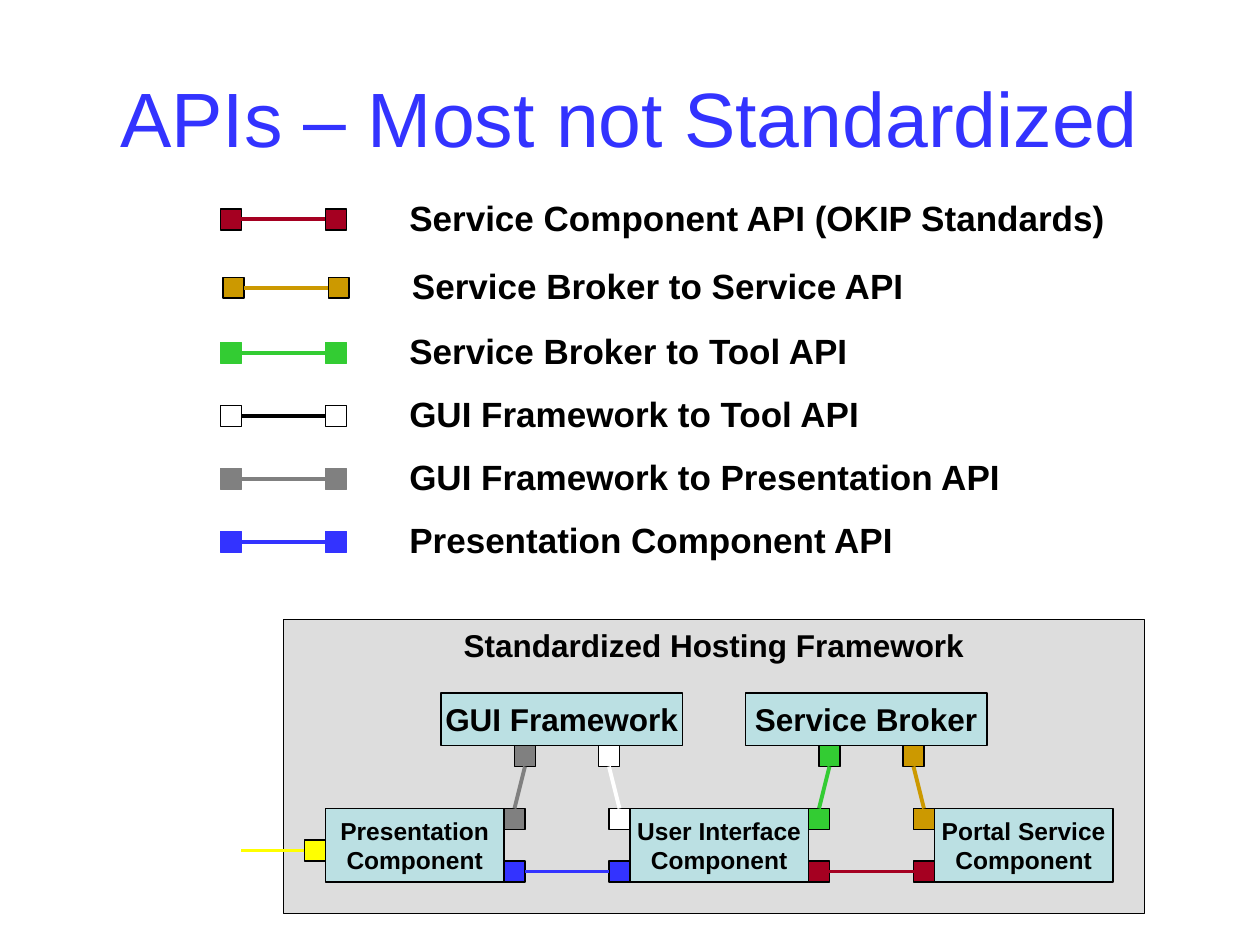
import pptx
import pptx.util
import pptx.dml.color
import pptx.enum.shapes
import pptx.enum.text
import pptx.oxml.ns
from lxml import etree

COLORS = {
    "red": "A50021", "gold": "CC9900", "green": "33CC33", "white": "FFFFFF",
    "gray": "808080", "blue": "3333FF", "yellow": "FFFF00", "black": "000000",
    "frame": "DDDDDD", "box": "BBE0E3",
}
COLS = 120
PORT = 2
BOTTOM, LEFT, RIGHT, TOP = 2, 1, 3, 0
ALIGN = pptx.enum.text.PP_ALIGN
ANCHOR = pptx.enum.text.MSO_ANCHOR

LEGEND = [
    (21, 19.9, "red", "black", 68.8, "Service Component API (OKIP Standards)"),
    (21.25, 26.4, "gold", "black", 49.3, "Service Broker to Service API"),
    (21, 32.6, "green", "green", 44.5, "Service Broker to Tool API"),
    (21, 38.6, "white", "black", 45.6, "GUI Framework to Tool API"),
    (21, 44.6, "gray", "gray", 58.8, "GUI Framework to Presentation API"),
    (21, 50.6, "blue", "blue", 48.6, "Presentation Component API"),
]
BOXES = [
    (42, 66, 23, 5, "GUI Framework", 18),
    (71, 66, 23, 5, "Service Broker", 18),
    (31, 77, 17, 7, "Presentation\nComponent", 14),
    (60, 77, 17, 7, "User Interface\nComponent", 14),
    (89, 77, 17, 7, "Portal Service\nComponent", 14),
]
LINKS = [
    ("gray", (49, 71), (48, 77), BOTTOM, TOP),
    ("white", (57, 71), (58, 77), BOTTOM, TOP),
    ("green", (78, 71), (77, 77), BOTTOM, TOP),
    ("gold", (86, 71), (87, 77), BOTTOM, TOP),
    ("blue", (48, 82), (58, 82), RIGHT, LEFT),
    ("red", (77, 82), (87, 82), RIGHT, LEFT),
]


def cell(count):
    return pptx.util.Inches(count * 10 / COLS)


def color(name):
    return pptx.dml.color.RGBColor.from_string(COLORS[name])


def write(shape, text, size, ink="black", bold=True, align=ALIGN.CENTER,
          anchor=ANCHOR.MIDDLE, wrap=False):
    frame = shape.text_frame
    frame.text = text
    frame.word_wrap = wrap
    frame.vertical_anchor = anchor
    for para in frame.paragraphs:
        para.alignment = align
        for run in para.runs:
            run.font.name = "Arial"
            run.font.size = pptx.util.Pt(size)
            run.font.bold = bold
            run.font.color.rgb = color(ink)


def add_rect(slide, x, y, w, h, fill, edge="black"):
    kind = pptx.enum.shapes.MSO_SHAPE.RECTANGLE
    rect = slide.shapes.add_shape(kind, cell(x), cell(y), cell(w), cell(h))
    rect.shadow.inherit = False
    rect.fill.solid()
    rect.fill.fore_color.rgb = color(fill)
    rect.line.color.rgb = color(edge)
    rect.line.width = pptx.util.Pt(0.75)
    return rect


def add_port(slide, x, y, fill, edge="black"):
    return add_rect(slide, x, y, PORT, PORT, fill, edge)


def add_line(slide, start, end, ink):
    kind = pptx.enum.shapes.MSO_CONNECTOR.STRAIGHT
    line = slide.shapes.add_connector(kind, *map(cell, start + end))
    line.line.color.rgb = color(ink)
    line.line.width = pptx.util.Pt(2.25)
    props = line.element.spPr
    etree.SubElement(props, pptx.oxml.ns.qn("a:effectLst"))
    return line


def add_link(slide, ink, first, last, out, into, edge="black", line_ink=None):
    head = add_port(slide, *first, ink, edge)
    tail = add_port(slide, *last, ink, edge)
    line = add_line(slide, first, last, line_ink or ink)
    line.begin_connect(head, out)
    line.end_connect(tail, into)


def add_text(slide, x, y, w, h, text, size, **style):
    box = slide.shapes.add_textbox(cell(x), cell(y), cell(w), cell(h))
    write(box, text, size, **style)


def add_key(slide, x, y, ink, edge, width, label):
    add_link(slide, ink, (x, y), (x + 10, y), RIGHT, LEFT, edge, edge if ink == "white" else ink)
    add_text(slide, x + 16.8, y - 1.8, width, 5.3, label, 20,
             align=ALIGN.LEFT, anchor=ANCHOR.TOP)


def main():
    deck = pptx.Presentation()
    deck.slide_width = pptx.util.Inches(10)
    deck.slide_height = pptx.util.Inches(7.5)
    slide = deck.slides.add_slide(deck.slide_layouts[6])

    add_text(slide, 6, 3.6, 108, 15, "APIs – Most not Standardized", 44,
             ink="blue", bold=False, wrap=True)
    for key in LEGEND:
        if key[2] == "gold":
            add_key(slide, *key)
        else:
            add_key(slide, *key)

    host = add_rect(slide, 27, 59, 82, 28, "frame")
    write(host, "Standardized Hosting Framework", 18, anchor=ANCHOR.TOP)
    for x, y, w, h, text, size in BOXES:
        write(add_rect(slide, x, y, w, h, "box"), text, size)
    for link in LINKS:
        add_link(slide, *link)
    entry = add_port(slide, 29, 80, "yellow")
    add_line(slide, (29, 81), (23, 81), "yellow").begin_connect(entry, LEFT)

    deck.save("out.pptx")


if __name__ == "__main__":
    main()
